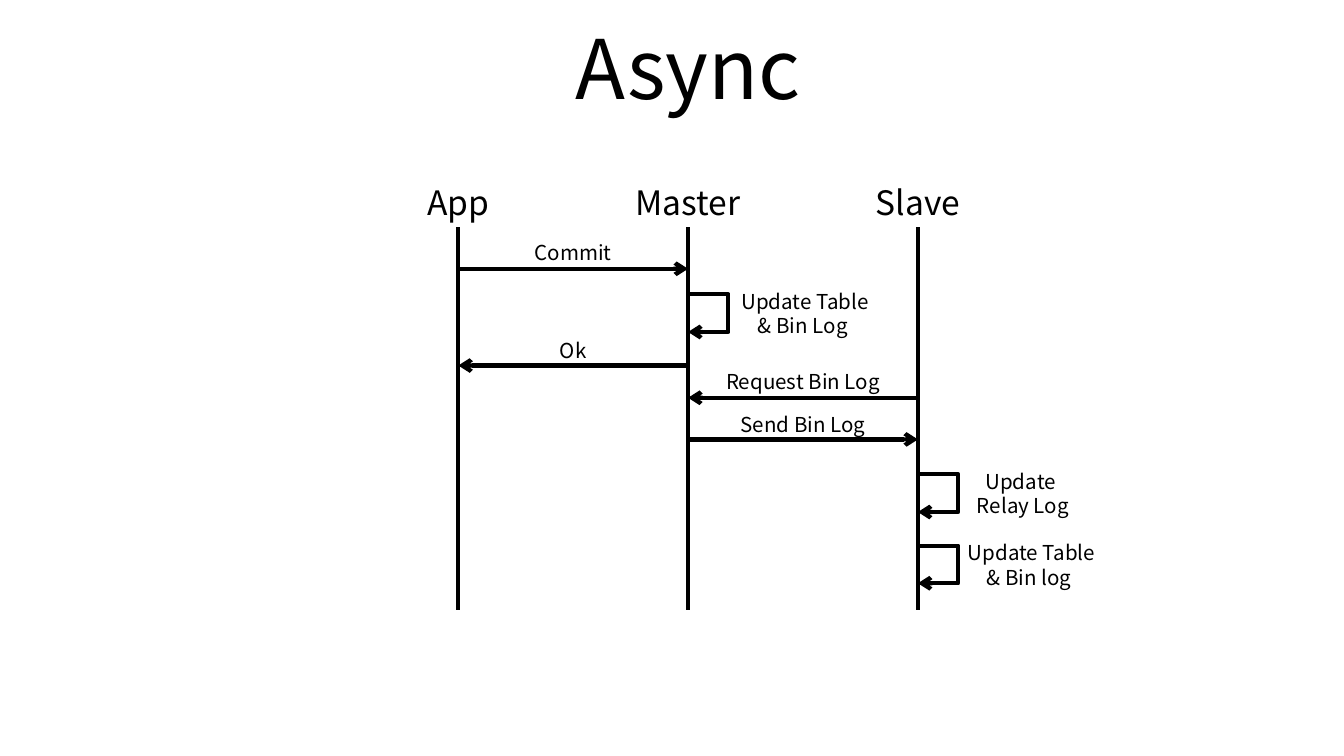
from dataclasses import dataclass

from lxml.etree import SubElement as Sub
from pptx import Presentation as Deck
from pptx.dml.color import RGBColor as Rgb
from pptx.enum.shapes import MSO_CONNECTOR as Conn
from pptx.enum.text import MSO_ANCHOR as Anchor, PP_ALIGN as Align
from pptx.oxml.ns import qn
from pptx.util import Inches as Inch, Pt

BLACK = Rgb(0, 0, 0)
FACE = "Noto Sans CJK KR"
WIDE = 10
HIGH = WIDE * 9 / 16
# Grid: one column per lane, rows of a tenth of an inch down the lifelines
LEFT, COL = 3.41, 1.71
TOP, ROW = 1.69, 0.1
END = 28.5
LANES = ["App", "Master", "Slave"]
LOOP_W, LOOP_H = 0.3, 0.28


@dataclass
class Call:
    text: str
    src: int
    dst: int
    row: float
    wide: float
    lift: float = 0.11


@dataclass
class Loop:
    lines: list[str]
    lane: int
    row: float
    wide: float


CALLS = [
    Call("Commit", 0, 1, 3.1, 0.81, 0.12),
    Call("Ok", 1, 0, 10.3, 0.81),
    Call("Request Bin Log", 2, 1, 12.7, 1.65, 0.12),
    Call("Send Bin Log", 1, 2, 15.8, 1.65),
]
LOOPS = [
    Loop(["Update Table", "& Bin Log "], 1, 5, 1.14),
    Loop(["Update", " Relay Log"], 2, 18.4, 0.93),
    Loop(["Update Table", "& Bin log "], 2, 23.7, 1.09),
]


def col(lane: float) -> float:
    return LEFT + lane * COL


def down(row: float) -> float:
    return TOP + row * ROW


def label(slide, lines: list[str], mid: float, cen: float,
          wide: float, high: float, size: float) -> None:
    """Text centred on the point (mid, cen)."""
    box = slide.shapes.add_textbox(Inch(mid - wide / 2), Inch(cen - high / 2),
                                   Inch(wide), Inch(high))
    frame = box.text_frame
    form = {"word_wrap": True, "vertical_anchor": Anchor.MIDDLE,
            "margin_left": Inch(0.07), "margin_right": Inch(0.07),
            "margin_top": Inch(0.04), "margin_bottom": Inch(0.04)}
    for key, val in form.items():
        setattr(frame, key, val)
    frame.text = "\n".join(lines)
    for para in frame.paragraphs:
        para.alignment = Align.CENTER
        for run in para.runs:
            for key, val in {"name": FACE, "size": Pt(size)}.items():
                setattr(run.font, key, val)
            run.font.color.rgb = BLACK
            # East Asian face matches the Latin one
            Sub(run.font._element, qn("a:ea"), typeface=FACE)


def ink(shape, arrow: bool) -> None:
    shape.line.color.rgb = BLACK
    shape.line.width = Pt(2.25)
    if arrow:
        Sub(shape.line._get_or_add_ln(), qn("a:tailEnd"), type="arrow")


def rule(slide, x1: float, y1: float, x2: float, y2: float,
         arrow: bool = False) -> None:
    line = slide.shapes.add_connector(
        Conn.STRAIGHT, Inch(x1), Inch(y1), Inch(x2), Inch(y2))
    ink(line, arrow)
    Sub(line._element.spPr, qn("a:effectLst"))


def send(slide, call: Call) -> None:
    y = down(call.row)
    rule(slide, col(call.src), y, col(call.dst), y, True)
    label(slide, [call.text], col((call.src + call.dst) / 2), y - call.lift,
          call.wide, 0.24, 11)


def turn(slide, loop: Loop) -> None:
    x, y = col(loop.lane), down(loop.row)
    out, low = x + LOOP_W, y + LOOP_H
    pen = slide.shapes.build_freeform(Inch(x), Inch(y))
    pen.add_line_segments([(Inch(out), Inch(y)), (Inch(out), Inch(low)),
                           (Inch(x), Inch(low))], close=False)
    path = pen.convert_to_shape()
    path.fill.background()
    ink(path, True)
    path.shadow.inherit = False
    label(slide, loop.lines, out + loop.wide / 2, y + LOOP_H / 2,
          loop.wide, 0.45, 11)


def main() -> None:
    deck = Deck()
    deck.slide_width, deck.slide_height = Inch(WIDE), Inch(HIGH)
    slide = deck.slides.add_slide(deck.slide_layouts[6])

    # Title
    label(slide, ["Async"], 0.512 * WIDE, 0.088 * HIGH, 0.9 * WIDE, 0.94, 44)

    # Lanes with their lifelines
    for lane, name in enumerate(LANES):
        label(slide, [name], col(lane), down(-1.85), 1.1, 0.38, 18)
        rule(slide, col(lane), TOP, col(lane), down(END))

    # Messages between lanes, then steps inside one lane
    for call in CALLS:
        send(slide, call)
    for loop in LOOPS:
        turn(slide, loop)

    deck.save("out.pptx")


if __name__ == "__main__":
    main()
